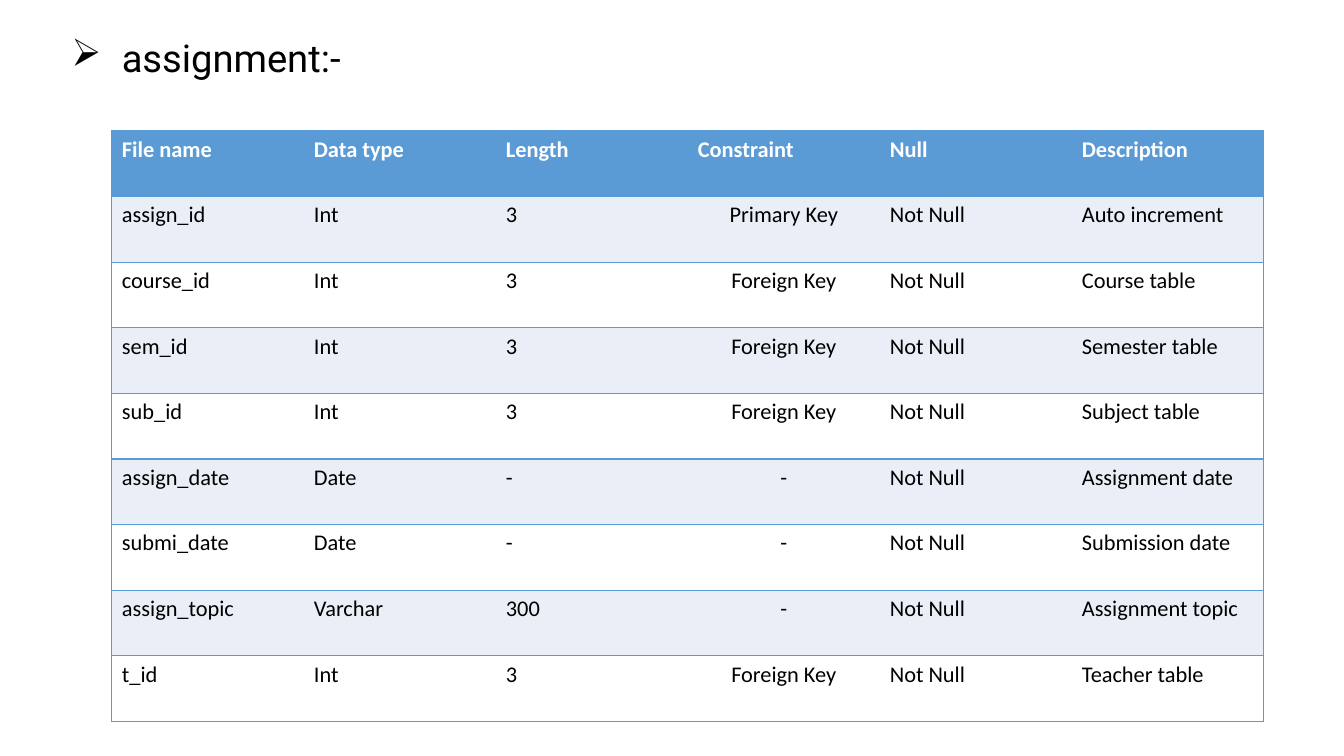
from lxml.etree import SubElement
from pptx import Presentation
from pptx.dml.color import RGBColor
from pptx.enum.text import MSO_ANCHOR, PP_ALIGN
from pptx.oxml import parse_xml
from pptx.oxml.ns import nsdecls, qn
from pptx.util import Cm, Pt

BLUE, PALE, WHITE, BLACK = "5B9BD5", "EAEFF7", "FFFFFF", "000000"
CONSTRAINT_COLUMN = 3

HEADINGS = ("File name", "Data type", "Length", "Constraint", "Null", "Description")
FIELDS = (
    ("assign_id", "Int", "3", "Primary Key", "Not Null", "Auto increment"),
    ("course_id", "Int", "3", "Foreign Key", "Not Null", "Course table"),
    ("sem_id", "Int", "3", "Foreign Key", "Not Null", "Semester table"),
    ("sub_id", "Int", "3", "Foreign Key", "Not Null", "Subject table"),
    ("assign_date", "Date", "-", "-", "Not Null", "Assignment date"),
    ("submi_date", "Date", "-", "-", "Not Null", "Submission date"),
    ("assign_topic", "Varchar", "300", "-", "Not Null", "Assignment topic"),
    ("t_id", "Int", "3", "Foreign Key", "Not Null", "Teacher table"),
)


def color(value):
    return RGBColor.from_string(value)


def write(frame, text, font="Calibri", size=16, ink=BLACK, bold=False,
          align=PP_ALIGN.LEFT, line_spacing=None, bullet=None, indent=Cm(0)):
    paragraph = frame.paragraphs[0]
    if bullet:
        properties = paragraph._p.get_or_add_pPr()
        properties.set("marL", str(indent))
        properties.set("indent", str(-indent))
        SubElement(properties, qn("a:buChar")).set("char", bullet)
    paragraph.alignment = align
    if line_spacing:
        paragraph.line_spacing = line_spacing
    run = paragraph.add_run()
    run.text = text
    run.font.name = font
    run.font.size = Pt(size)
    run.font.bold = bold
    run.font.color.rgb = color(ink)


def set_borders(cell, left, right):
    """Rule the cell above and below, and at the sides that are asked for."""
    sides = (("L", left), ("R", right), ("T", True), ("B", True))
    for position, (side, ruled) in enumerate(sides):
        paint = (f'<a:solidFill><a:srgbClr val="{BLUE}"/></a:solidFill>'
                 if ruled else "<a:noFill/>")
        border = parse_xml(
            f'<a:ln{side} {nsdecls("a")} w="{Pt(1)}">{paint}</a:ln{side}>')
        cell._tc.get_or_add_tcPr().insert(position, border)


def add_heading(slide, text):
    box = slide.shapes.add_textbox(Cm(1.55), Cm(0.94), Cm(29.21), Cm(1.24))
    box.text_frame.word_wrap = True
    box.text_frame.vertical_anchor = MSO_ANCHOR.MIDDLE
    write(box.text_frame, text, font="Roboto", size=27.3,
          line_spacing=0.8, bullet="➢", indent=Cm(1.27))


def add_field_table(slide, rows):
    last = len(HEADINGS) - 1
    table = slide.shapes.add_table(
        len(rows), len(HEADINGS), Cm(2.82), Cm(3.3), Cm(29.03), Cm(14.88)).table
    table.first_row = table.horz_banding = False
    for row, texts in enumerate(rows):
        header = row == 0
        fill = BLUE if header else PALE if row % 2 else WHITE
        for column, text in enumerate(texts):
            cell = table.cell(row, column)
            cell.fill.solid()
            cell.fill.fore_color.rgb = color(fill)
            set_borders(cell, left=column == 0, right=column == last)
            centred = column == CONSTRAINT_COLUMN and not header
            write(cell.text_frame, text, bold=header,
                  ink=WHITE if header else BLACK,
                  align=PP_ALIGN.CENTER if centred else PP_ALIGN.LEFT)


def main():
    deck = Presentation()
    deck.slide_width, deck.slide_height = Cm(33.87), Cm(19.05)
    slide = deck.slides.add_slide(deck.slide_layouts[6])

    # Table name
    add_heading(slide, "assignment:-")

    # Field definitions
    add_field_table(slide, (HEADINGS, *FIELDS))

    deck.save("out.pptx")


if __name__ == "__main__":
    main()
